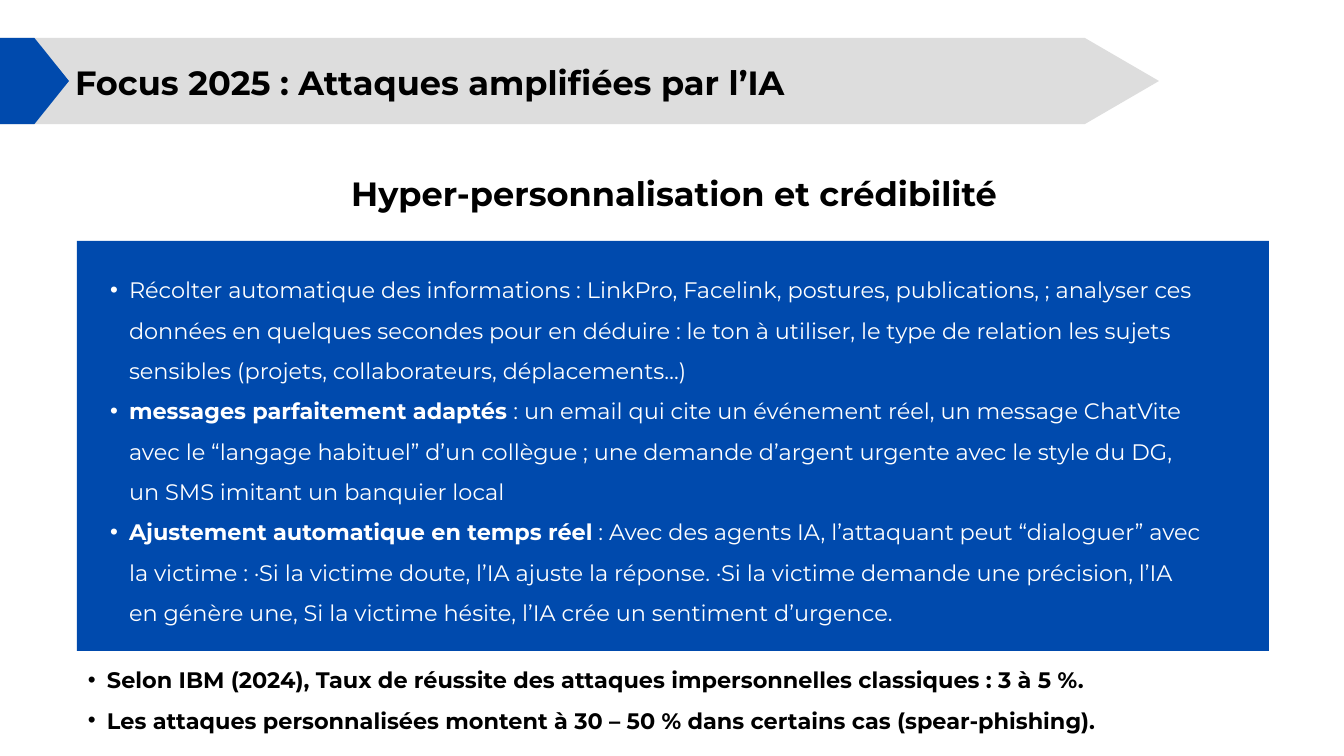
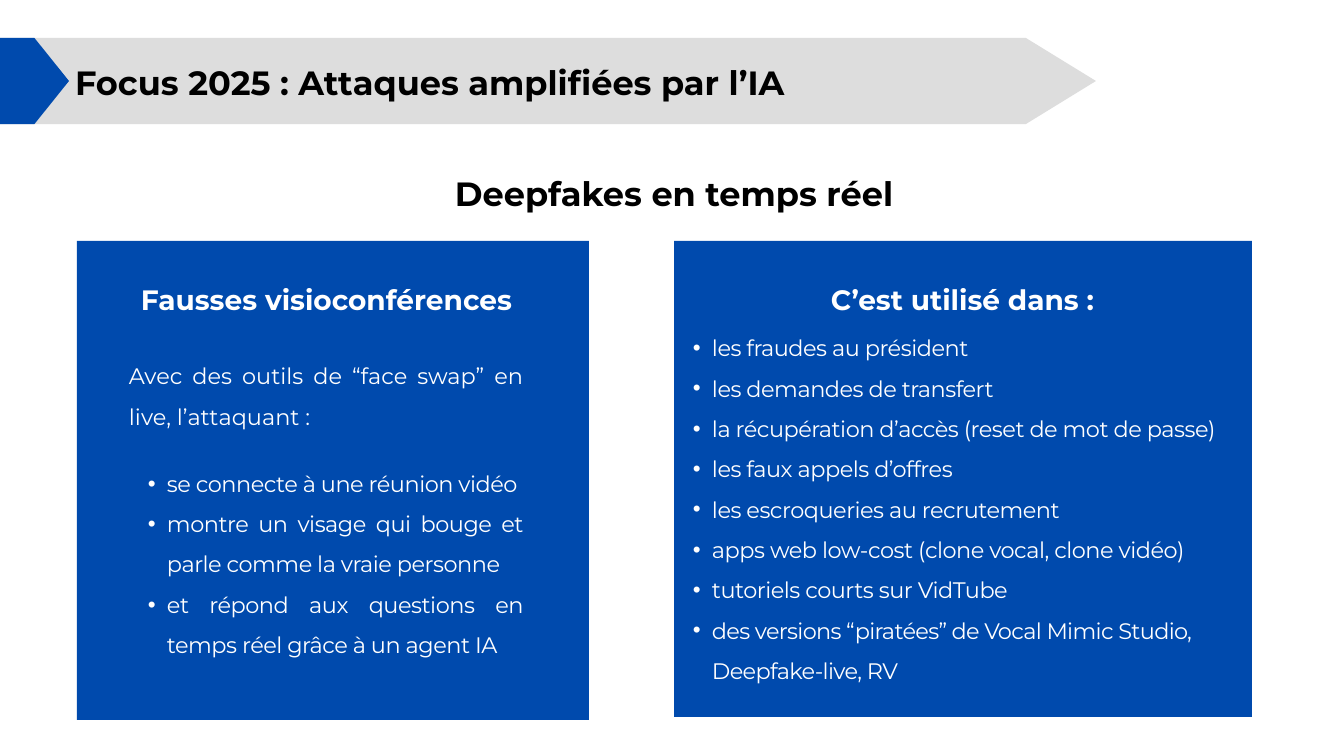
from lxml.etree import SubElement
from pptx import Presentation
from pptx.dml.color import RGBColor
from pptx.enum.shapes import MSO_SHAPE
from pptx.enum.text import MSO_ANCHOR, MSO_AUTO_SIZE, PP_ALIGN
from pptx.oxml.ns import qn
from pptx.util import Emu, Pt

BLUE, GREY, BLACK, WHITE = "004AAD", "DDDDDD", "000000", "FFFFFF"
FONT = "Montserrat"
TITLE = "Focus 2025 : Attaques amplifiées par l’IA"
TITLE_ONLY = 5
BAND_TOP, BAND_HEIGHT = 38, 86
PANEL_TOP = 241
HANG = 19

PROFILING = [
    [("Récolter automatique des informations : LinkPro, Facelink, postures, "
      "publications, ; analyser ces données en quelques secondes pour en "
      "déduire : le ton à utiliser, le type de relation les sujets sensibles "
      "(projets, collaborateurs, déplacements…)", False)],
    [("messages parfaitement adaptés ", True),
     (": un email qui cite un événement réel, un message ChatVite avec le "
      "“langage habituel” d’un collègue ; une demande d’argent urgente avec le "
      "style du DG, un SMS imitant un banquier local", False)],
    [("Ajustement automatique en temps réel", True),
     (" : Avec des agents IA, l’attaquant peut “dialoguer” avec la victime : "
      "·Si la victime doute, l’IA ajuste la réponse. ·Si la victime demande "
      "une précision, l’IA en génère une, Si la victime hésite, l’IA crée un "
      "sentiment d’urgence.", False)],
]
CLASSIC_RATE = ("Selon IBM (2024), Taux de réussite des attaques "
                "impersonnelles classiques : 3 à 5 %.")
TARGETED_RATE = ("Les attaques personnalisées montent à 30 – 50 % dans "
                 "certains cas (spear-phishing).")
FACE_SWAP_INTRO = "Avec des outils de “face swap” en live, l’attaquant :"
FACE_SWAP_STEPS = [
    "se connecte à une réunion vidéo",
    "montre un visage qui bouge et parle comme la vraie personne",
    "et répond aux questions en temps réel grâce à un agent IA",
]
USES = [
    "les fraudes au président",
    "les demandes de transfert",
    "la récupération d’accès (reset de mot de passe)",
    "les faux appels d’offres",
    "les escroqueries au recrutement",
    "apps web low-cost (clone vocal, clone vidéo)",
    "tutoriels courts sur VidTube",
]
PIRATED_TOOLS = "des versions “piratées” de Vocal Mimic Studio, Deepfake-live, RV"


def px(length):
    """Turn a length in px into EMU."""
    return Emu(round(length * 914400 / 67.2))


def color(value):
    """Turn a hex string into a colour."""
    return RGBColor.from_string(value)


def add_block(page, kind, left, top, width, height, fill):
    """Add a flat filled shape without outline."""
    block = page.shapes.add_shape(kind, px(left), px(top), px(width), px(height))
    block.shadow.inherit = False
    block.fill.solid()
    block.fill.fore_color.rgb = color(fill)
    block.line.fill.background()
    return block


def add_panel(page, left, width, height):
    """Add a blue content panel."""
    return add_block(page, MSO_SHAPE.RECTANGLE, left, PANEL_TOP, width, height, BLUE)


def add_arrow(page, width, point, fill):
    """Add a title band ending in a point of the given length."""
    arrow = add_block(page, MSO_SHAPE.PENTAGON, 0, BAND_TOP, width, BAND_HEIGHT, fill)
    arrow.adjustments[0] = point / BAND_HEIGHT
    return arrow


def prepare_frame(box):
    """Give a text frame no margins and let it wrap from the top."""
    frame = box.text_frame
    frame.margin_left = frame.margin_right = frame.margin_top = frame.margin_bottom = 0
    frame.word_wrap = True
    frame.auto_size = MSO_AUTO_SIZE.NONE
    frame.vertical_anchor = MSO_ANCHOR.TOP
    return frame


def add_frame(page, left, top, width, height):
    """Add a text box and return its frame."""
    return prepare_frame(page.shapes.add_textbox(px(left), px(top), px(width), px(height)))


def write(frame, text, size=24, ink=WHITE, bold=False, align=PP_ALIGN.LEFT,
          leading=43.2, indent=0, gap=0, tracking=0):
    """Write a paragraph of text or (text, bold) spans, bulleted when indented."""
    first = frame.paragraphs[0]
    para = frame.add_paragraph() if first.runs else first
    spans = [(text, bold)] if isinstance(text, str) else text
    for content, strong in spans:
        span = para.add_run()
        span.text = content
        if len(spans) > 1:
            span.font.bold = strong
    para.alignment = align
    para.line_spacing = Pt(leading)
    if gap:
        para.space_before = Pt(gap)
    if indent:
        add_bullet(para, indent)
    para.font.name = FONT
    para.font.size = Pt(size)
    para.font.bold = bold
    para.font.color.rgb = color(ink)
    if tracking:
        para._p.pPr.find(qn("a:defRPr")).set("spc", str(tracking))


def add_bullet(para, indent):
    """Hang a round bullet in front of a second-level paragraph."""
    para.level = 1
    properties = para._p.get_or_add_pPr()
    properties.set("marL", str(px(indent)))
    properties.set("indent", str(-px(HANG)))
    SubElement(properties, qn("a:buFont")).set("typeface", "Arial")
    SubElement(properties, qn("a:buChar")).set("char", "•")


def add_page(deck, heading, band_width, band_point):
    """Add a page with the title band, the title and a centred heading."""
    page = deck.slides.add_slide(deck.slide_layouts[TITLE_ONLY])
    add_arrow(page, band_width, band_point, GREY)
    tip = add_arrow(page, 69, 43, BLUE)
    title = page.shapes.title
    title.left, title.top, title.width, title.height = map(px, (75, 62, 753, 40))
    write(prepare_frame(title), TITLE, 36, BLACK, True)
    tip._element.addnext(title._element)
    write(add_frame(page, 129, 173, 1090, 40), heading, 36, BLACK, True, PP_ALIGN.CENTER)
    return page


def add_panel_title(page, text, left, width):
    """Add the white heading of a panel."""
    frame = add_frame(page, left, 283, width, 34)
    write(frame, text, 30, bold=True, align=PP_ALIGN.CENTER, leading=36)


def build_personalisation(deck):
    """Build the page on personalised attacks."""
    page = add_page(deck, "Hyper-personnalisation et crédibilité", 1159, 74)
    add_panel(page, 77, 1192, 410)
    methods = add_frame(page, 91, 263, 1111, 355)
    for spans in PROFILING:
        write(methods, spans, indent=38)
    rates = add_frame(page, 69, 653, 1189, 76)
    write(rates, CLASSIC_RATE, ink=BLACK, bold=True, indent=38)
    write(rates, TARGETED_RATE, ink=BLACK, bold=True, indent=38)


def build_deepfakes(deck):
    """Build the page on live deepfakes."""
    page = add_page(deck, "Deepfakes en temps réel", 1096, 70)
    add_panel(page, 77, 512, 479)
    add_panel(page, 674, 578, 476)
    add_panel_title(page, "Fausses visioconférences", 133, 387)
    add_panel_title(page, "C’est utilisé dans :", 806, 313)
    meeting = add_frame(page, 129, 349, 394, 302)
    write(meeting, FACE_SWAP_INTRO, align=PP_ALIGN.JUSTIFY)
    for number, step in enumerate(FACE_SWAP_STEPS):
        write(meeting, step, align=PP_ALIGN.JUSTIFY, indent=38,
              gap=0 if number else 28.8, tracking=-50)
    uses = add_frame(page, 674, 321, 554, 355)
    for use in USES:
        write(uses, use, indent=38, tracking=-50)
    write(uses, PIRATED_TOOLS, indent=38, tracking=-70)


def main():
    """Build and save the deck."""
    deck = Presentation()
    deck.slide_width, deck.slide_height = px(1344), px(756)
    build_personalisation(deck)
    build_deepfakes(deck)
    deck.save("out.pptx")


if __name__ == "__main__":
    main()
